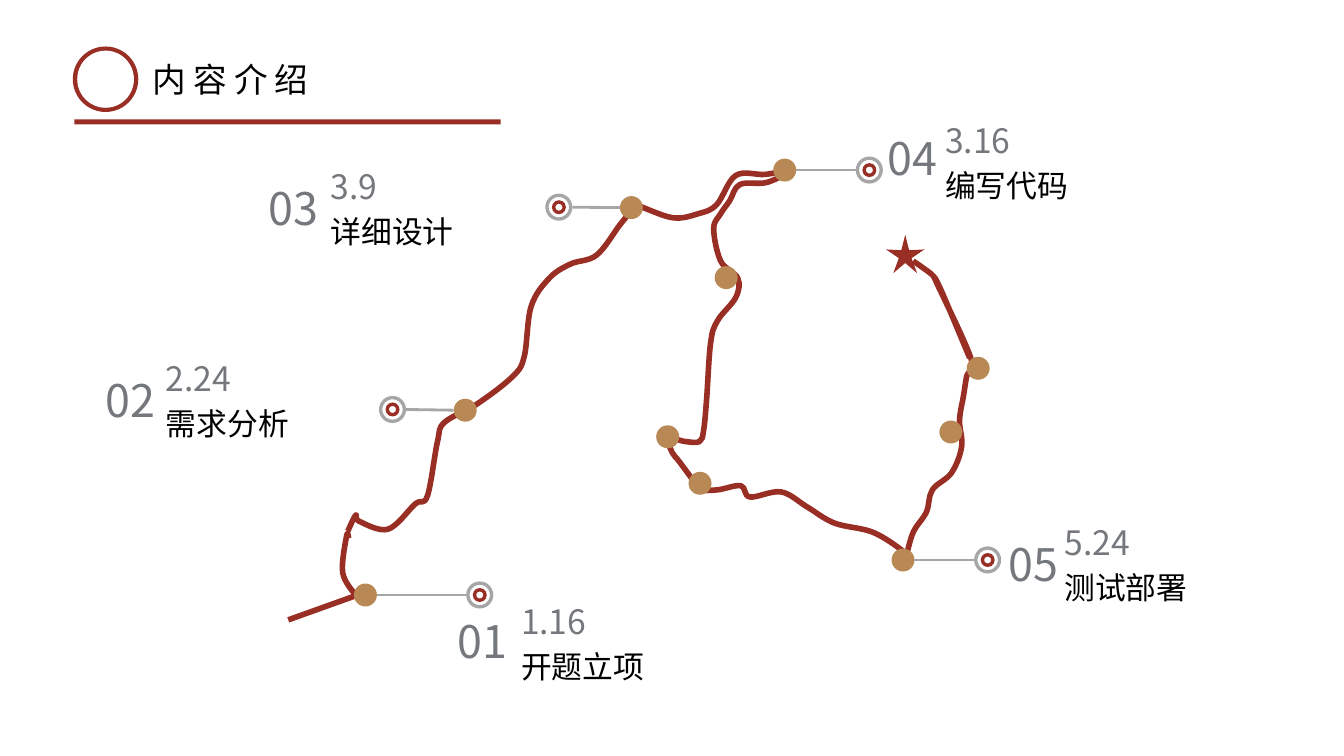
from dataclasses import dataclass

from pptx import Presentation
from pptx.dml.color import RGBColor
from pptx.enum.shapes import MSO_CONNECTOR, MSO_SHAPE as Preset
from pptx.enum.text import MSO_ANCHOR, MSO_AUTO_SIZE
from pptx.oxml.ns import qn
from pptx.util import Pt


@dataclass(frozen=True)
class Theme:
    font: str = "Noto Sans CJK SC"
    red: str = "992E24"
    gold: str = "B88955"
    ring: str = "A6A6A6"
    gray: str = "74787C"
    black: str = "000000"
    white: str = "FFFFFF"
    title_size: int = 24
    number_size: int = 32
    date_size: int = 24
    label_size: int = 22


THEME = Theme()
DOT_SIZE = 16.4
RING_SIZE = 19.4
CORE_SIZE = 10

# Stretches of the route: count of straight segments at the start, then the points
ROUTES = [
    (2, [(205.9, 442.8), (254.2, 425.5), (254.2, 425.5), (244.8, 409),
         (247.7, 382.3), (249.1, 384.5)]),
    (0, [(248.4, 379.4), (254.2, 367.9), (256.3, 372.2), (277.2, 378),
         (296.6, 360), (305.3, 354.2), (312.5, 315.4), (317.5, 301.7),
         (340.6, 288.7), (365.8, 269.3), (374.4, 254.9), (379.4, 218.9),
         (392.4, 198.7), (407.5, 188.6), (426.2, 182.2), (442.8, 160.6),
         (452.2, 149), (453.6, 146.2), (480.2, 155.5), (499, 152.6),
         (511.9, 146.2), (525.6, 125.3), (546.5, 124.6), (564.5, 121.7),
         (547.9, 130.3), (528.5, 131.8), (521.3, 143.3), (514.8, 152.6),
         (509.8, 163.4), (514.8, 186.5), (527, 198.7), (525.6, 212.4),
         (512.6, 229), (507.6, 244.8), (504.7, 285.8), (502.6, 307.4),
         (499.7, 315.4), (489.6, 315.4), (477.4, 313.2), (480.2, 323.3),
         (485.3, 329.8), (496.8, 345.6), (499, 349.9), (512.6, 349.9),
         (529.2, 347), (535.7, 355), (558, 351.4), (576.7, 362.2),
         (596.2, 373.7), (623.5, 380.2), (645.1, 393.8), (646.6, 398.9),
         (652.3, 380.2), (661.7, 365.8), (666, 349.9), (679.7, 337.7),
         (686.9, 319), (685.4, 300.2), (688.3, 282.2), (690.5, 268.6),
         (693.4, 255.6), (668.9, 201.6), (673.2, 209.5), (692.6, 255.6)]),
    (0, [(671, 205.9), (666.7, 197.3), (659.5, 191.5), (652.3, 186.5)]),
]

# Centres of the stops without a label
STOPS = [(518.7, 198.3), (476.9, 312), (500, 345.2), (698.7, 263.1), (679.2, 308.6)]

# Number, its width, date, label, dot centre, target centre, number corner, date corner
MILESTONES = [
    ("01", 56.2, "1.16", "开题立项", (261, 425), (342.7, 425), (326.9, 450.7), (372.2, 438.2)),
    ("02", 51.8, "2.24", "需求分析", (332.3, 293), (280.4, 292.5), (75.6, 278.2), (118.5, 264.2)),
    ("03", 46.8, "3.9", "详细设计", (451, 148.3), (399.2, 148), (191.9, 141.5), (236.2, 127)),
    ("04", 44.6, "3.16", "编写代码", (560.5, 121.5), (621, 121.5), (633.9, 105.4), (675.1, 94.3)),
    ("05", 43.2, "5.24", "测试部署", (645, 400), (705.5, 400), (720.7, 395.8), (760.3, 381.6)),
]


def add_filled(slide, preset, center, width, height, color, adjustment=None):
    left, top = center[0] - width / 2, center[1] - height / 2
    shape = slide.shapes.add_shape(preset, Pt(left), Pt(top), Pt(width), Pt(height))
    shape.shadow.inherit = False
    shape.fill.solid()
    shape.fill.fore_color.rgb = RGBColor.from_string(color)
    shape.line.fill.background()
    if adjustment is not None:
        shape.adjustments[0] = adjustment


def add_dot(slide, center):
    add_filled(slide, Preset.OVAL, center, DOT_SIZE, DOT_SIZE, THEME.gold)


def add_text(slide, text, corner, width, height, size, color, spacing=None):
    box = slide.shapes.add_textbox(Pt(corner[0]), Pt(corner[1]), Pt(width), Pt(height))
    frame = box.text_frame
    frame.word_wrap = True
    frame.vertical_anchor = MSO_ANCHOR.MIDDLE
    frame.margin_left = frame.margin_right = frame.margin_top = frame.margin_bottom = 0
    paragraph = frame.paragraphs[0]
    paragraph.text = text
    paragraph.line_spacing = spacing
    paragraph.font.name = THEME.font
    paragraph.font.size = Pt(size)
    paragraph.font.color.rgb = RGBColor.from_string(color)
    # East Asian typeface
    properties = paragraph._p.pPr.find(qn("a:defRPr"))
    east_asian = properties.makeelement(qn("a:ea"), {"typeface": THEME.font})
    properties.find(qn("a:latin")).addnext(east_asian)
    return frame


def bend(shape, straight_count):
    """Turn the line segments after the straight ones into smooth curves."""
    nodes = list(shape._element.iter(qn("a:pt")))
    points = [(int(node.get("x")), int(node.get("y"))) for node in nodes]
    padded = [points[0], *points, points[-1]]
    for index in range(straight_count, len(points) - 1):
        before, start, end, after = padded[index:index + 4]
        leave = [s + (e - b) // 6 for b, s, e in zip(before, start, end)]
        arrive = [e - (a - s) // 6 for s, e, a in zip(start, end, after)]
        line = nodes[index + 1].getparent()
        curve = line.makeelement(qn("a:cubicBezTo"), {})
        for x, y in (leave, arrive, end):
            curve.append(curve.makeelement(qn("a:pt"), {"x": str(x), "y": str(y)}))
        line.getparent().replace(line, curve)


def add_route(slide, straight_count, points):
    first, *rest = [(Pt(x), Pt(y)) for x, y in points]
    builder = slide.shapes.build_freeform(*first)
    builder.add_line_segments(rest, close=False)
    shape = builder.convert_to_shape()
    bend(shape, straight_count)
    shape.shadow.inherit = False
    shape.fill.background()
    shape.line.color.rgb = RGBColor.from_string(THEME.red)
    shape.line.width = Pt(4)


def add_leader(slide, dot, target):
    side = 1 if target[0] > dot[0] else -1
    line = slide.shapes.add_connector(
        MSO_CONNECTOR.STRAIGHT,
        Pt(dot[0] + side * DOT_SIZE / 2), Pt(dot[1]),
        Pt(target[0] - side * RING_SIZE / 2), Pt(target[1]))
    line.line.color.rgb = RGBColor.from_string(THEME.ring)
    line.line.width = Pt(2)
    properties = line._element.spPr
    properties.append(properties.makeelement(qn("a:effectLst"), {}))


def add_milestone(slide, number, width, date, label, dot, target, number_at, date_at):
    add_filled(slide, Preset.DONUT, target, RING_SIZE, RING_SIZE, THEME.ring, 0.125)
    add_filled(slide, Preset.DONUT, target, CORE_SIZE, CORE_SIZE, THEME.red, 0.25)
    add_dot(slide, dot)
    add_leader(slide, dot, target)
    add_text(slide, date, date_at, 155.5, 19.4, THEME.date_size, THEME.gray, 0.65)
    label_at = (date_at[0], date_at[1] + 11)
    add_text(slide, label, label_at, 173.5, 46, THEME.label_size, THEME.black, 1.3)
    add_text(slide, number, number_at, width, 24.5, THEME.number_size, THEME.gray, 0.65)


def add_header(slide):
    frame = add_text(slide, "内容介绍", (102.2, 38.2), 131.8, 36,
                     THEME.title_size, THEME.black)
    frame.margin_left = frame.margin_right = Pt(7.2)
    frame.margin_top = frame.margin_bottom = Pt(3.6)
    frame.vertical_anchor = MSO_ANCHOR.TOP
    frame.word_wrap = False
    frame.auto_size = MSO_AUTO_SIZE.SHAPE_TO_FIT_TEXT
    # Letter spacing of 5 points
    frame.paragraphs[0].runs[0]._r.get_or_add_rPr().set("spc", "500")
    badge = (75.4, 56.6)
    add_filled(slide, Preset.OVAL, badge, 46.8, 46.8, THEME.red)
    add_filled(slide, Preset.OVAL, badge, 40.5, 40.8, THEME.white)
    add_filled(slide, Preset.RECTANGLE, (205.4, 87), 304.6, 3.6, THEME.red)


def main():
    presentation = Presentation()
    presentation.slide_width, presentation.slide_height = Pt(960), Pt(540)
    slide = presentation.slides.add_slide(presentation.slide_layouts[6])

    # Route with its stops and destination
    for straight_count, points in ROUTES:
        add_route(slide, straight_count, points)
    for center in STOPS:
        add_dot(slide, center)
    add_filled(slide, Preset.STAR_5_POINT, (646.6, 181.4), 27.4, 27.4, THEME.red, 0.166)

    # Dated milestones
    for milestone in MILESTONES:
        add_milestone(slide, *milestone)

    add_header(slide)
    presentation.save("out.pptx")


if __name__ == "__main__":
    main()
